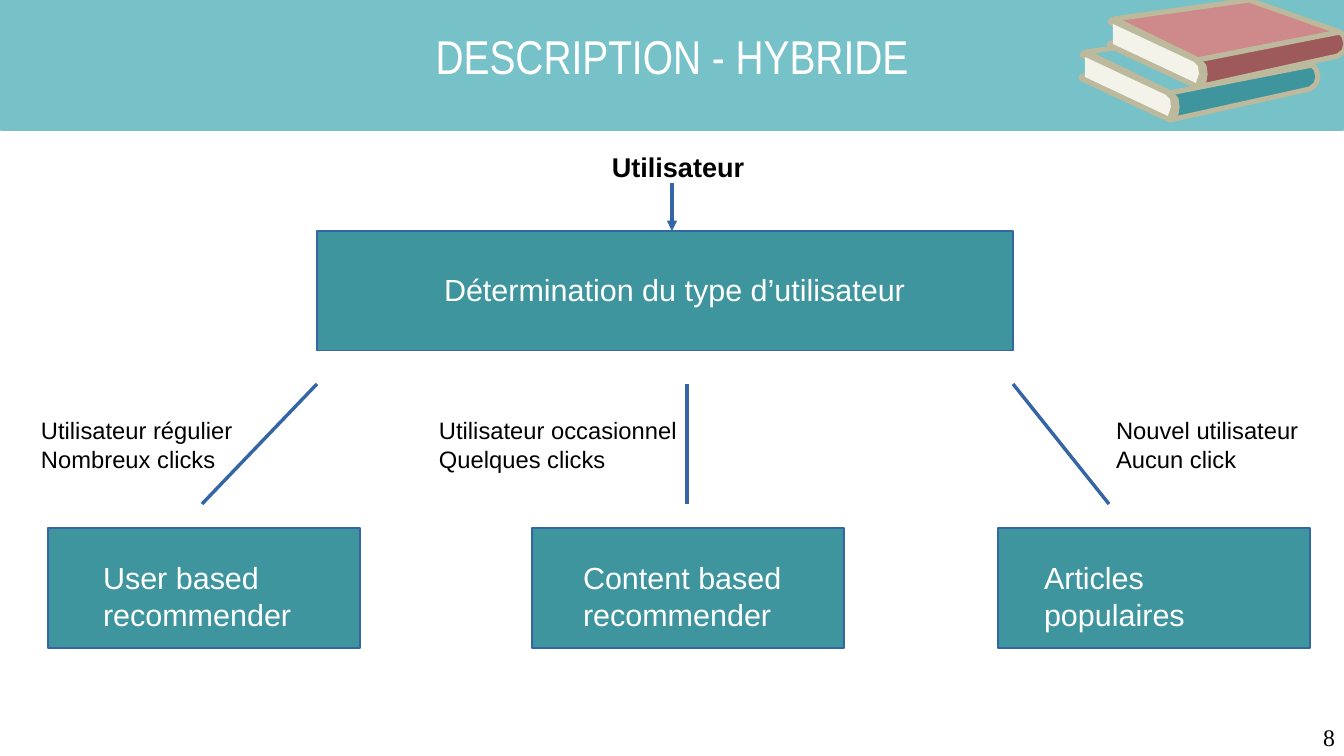
"""Build the slide describing the hybrid recommender."""
from lxml.etree import SubElement
from pptx import Presentation
from pptx.dml.color import RGBColor
from pptx.enum.shapes import MSO_CONNECTOR, MSO_SHAPE
from pptx.enum.text import MSO_ANCHOR, MSO_AUTO_SIZE, PP_ALIGN
from pptx.oxml.ns import qn
from pptx.util import Pt

PX = 7495
TEAL, BLUE, TAN, IVORY = "3F959E", "3465A4", "BDB99D", "F3F3E9"
SKY, WHITE, BLACK = "76C2C8", "FFFFFF", "000000"


def color(code):
    return RGBColor.from_string(code)


def write(target, text, size=18, font="Arial", ink=BLACK, bold=False,
          align=PP_ALIGN.LEFT, anchor=MSO_ANCHOR.TOP, inset=(12, 6)):
    frame = target.text_frame
    frame.text = text
    frame.word_wrap = True
    frame.auto_size = MSO_AUTO_SIZE.NONE
    frame.vertical_anchor = anchor
    frame.margin_left = frame.margin_right = inset[0] * PX
    frame.margin_top = frame.margin_bottom = inset[1] * PX
    for paragraph in frame.paragraphs:
        paragraph.alignment = align
        paragraph.font.size = Pt(size)
        paragraph.font.name = font
        paragraph.font.bold = bold
        paragraph.font.color.rgb = color(ink)


deck = Presentation()
deck.slide_width, deck.slide_height = 1344 * PX, 756 * PX
slide = deck.slides.add_slide(deck.slide_layouts[5])
shapes = slide.shapes

banner = shapes.add_shape(MSO_SHAPE.ROUNDED_RECTANGLE,
                          -5 * PX, -5 * PX, 1354 * PX, 138 * PX)
banner.adjustments[0] = 0.05
painted = [(banner, SKY, WHITE, 2.25)]

title = shapes.title
title.element.addprevious(banner.element)
title.left, title.top, title.width, title.height = 26 * PX, 29 * PX, 1292 * PX, 54 * PX
write(title, "DESCRIPTION - HYBRIDE", size=28, font="Arial Narrow", ink=WHITE,
      align=PP_ALIGN.CENTER, anchor=MSO_ANCHOR.MIDDLE, inset=(0, 0))

cover = [(1221, 33), (1086, 52), (1170, 93), (1312, 65)]
spine = [(1312, 65), (1170, 93), (1174, 99), (1175, 107), (1174, 115), (1170, 120),
         (1310, 89), (1316, 84), (1318, 77), (1316, 69)]
binding = [(1085, 52), (1082, 55), (1085, 57), (1166, 95), (1171, 101), (1171, 107),
           (1168, 116), (1083, 76), (1081, 77), (1082, 79), (1170, 120), (1176, 114),
           (1177, 107), (1176, 99), (1170, 93)]
pages = [(1085, 57), (1085, 77), (1168, 116), (1171, 107), (1170, 99), (1166, 95)]

for dx, dy, cover_fill, spine_fill in [(0, 0, SKY, TEAL), (28, -33, "CE8A8A", "9E5A5A")]:
    for outline, fill, edge in [(cover, cover_fill, TAN), (spine, spine_fill, TAN),
                                (binding, TAN, TAN), (pages, IVORY, None)]:
        points = [(x + dx, y + dy) for x, y in outline]
        builder = shapes.build_freeform(*points[0], scale=PX)
        builder.add_line_segments(points[1:], close=True)
        painted.append((builder.convert_to_shape(), fill, edge, 3))

for left, top, width in [(532, 528, 312), (48, 528, 312), (998, 528, 312), (317, 231, 696)]:
    step = shapes.add_shape(MSO_SHAPE.RECTANGLE,
                            left * PX, top * PX, width * PX, 120 * PX)
    painted.append((step, TEAL, BLUE, 0))

for part, fill, edge, weight in painted:
    part.shadow.inherit = False
    part.fill.solid()
    part.fill.fore_color.rgb = color(fill)
    if edge:
        part.line.color.rgb = color(edge)
        part.line.width = Pt(weight)
    else:
        part.line.fill.background()

for x1, y1, x2, y2, arrow in [(317, 384, 202, 504, False), (687, 384, 687, 504, False),
                              (1013, 384, 1109, 504, False), (672, 183, 672, 231, True)]:
    branch = shapes.add_connector(MSO_CONNECTOR.STRAIGHT,
                                  x1 * PX, y1 * PX, x2 * PX, y2 * PX)
    branch.line.color.rgb = color(BLUE)
    branch.line.width = Pt(0)
    if arrow:
        SubElement(branch.line._get_or_add_ln(), qn("a:tailEnd"), type="triangle")
    SubElement(branch.element.spPr, qn("a:effectLst"))

on_step = {"ink": WHITE}
condition = {"size": 14}
for left, top, width, height, text, style in [
    (600, 144, 188, 66, "Utilisateur", {"size": 16, "bold": True}),
    (432, 265, 504, 115, "Détermination du type d’utilisateur", on_step),
    (29, 410, 364, 66, "Utilisateur régulier\nNombreux clicks", condition),
    (427, 410, 283, 66, "Utilisateur occasionnel\nQuelques clicks", condition),
    (1104, 410, 240, 66, "Nouvel utilisateur\nAucun click", condition),
    (91, 553, 240, 115, "User based\nrecommender", on_step),
    (571, 553, 240, 115, "Content based\nrecommender", on_step),
    (1032, 553, 240, 115, "Articles populaires", on_step),
    (1022, 723, 313, 33, "8", {"size": 14, "font": "Times New Roman",
                               "align": PP_ALIGN.RIGHT, "inset": (0, 0)}),
]:
    caption = shapes.add_textbox(left * PX, top * PX, width * PX, height * PX)
    write(caption, text, **style)

deck.save("out.pptx")
